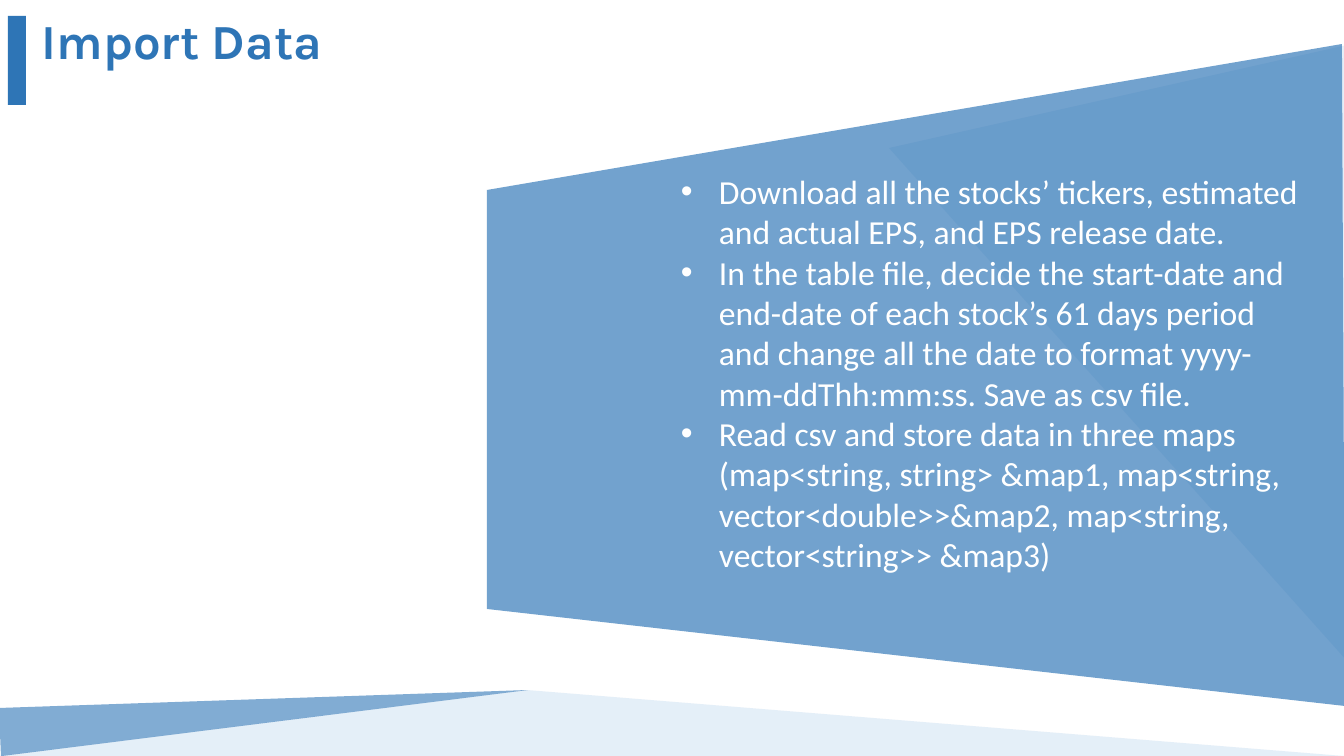
from lxml import etree
from pptx import Presentation
from pptx import util as u
from pptx.dml.color import RGBColor
from pptx.enum import shapes, text
from pptx.oxml import ns

PX = 914400 / 100.8  # EMU in one px
THEME = {
    "blue": "2E75B6", "pale": "BDD7EE", "ice": "DEEBF7", "white": "FFFFFF",
    "title_font": "Karla", "title_size": 35,
    "body_font": "Calibri", "body_size": 24,
}


def paint(shape, color, opacity=100):
    shape.shadow.inherit = False
    shape.line.fill.background()
    shape.fill.solid()
    shape.fill.fore_color.rgb = RGBColor.from_string(THEME[color])
    if opacity < 100:
        tint = shape.fill._xPr.find(".//" + ns.qn("a:srgbClr"))
        etree.SubElement(tint, ns.qn("a:alpha"), val=str(opacity * 1000))


def write(lines, box, font, size, color, bold=False, hanging=0):
    frame = slide.shapes.add_textbox(*[round(n * PX) for n in box]).text_frame
    frame.word_wrap = True
    frame.auto_size = text.MSO_AUTO_SIZE.SHAPE_TO_FIT_TEXT
    for i, line in enumerate(lines):
        paragraph = frame.paragraphs[0] if i == 0 else frame.add_paragraph()
        if hanging:
            props = paragraph._p.get_or_add_pPr()
            props.set("marL", str(round(hanging * PX)))
            props.set("indent", str(-round(hanging * PX)))
            etree.SubElement(props, ns.qn("a:buFont"), typeface="Arial")
            etree.SubElement(props, ns.qn("a:buChar"), char="•")
        run = paragraph.add_run()
        run.text = line
        run.font.name = THEME[font]
        run.font.size = u.Pt(THEME[size])
        run.font.bold = bold
        run.font.color.rgb = RGBColor.from_string(THEME[color])


deck = Presentation()
deck.slide_width, deck.slide_height = round(1344 * PX), round(756 * PX)
slide = deck.slides.add_slide(deck.slide_layouts[6])

# Angular background: two bottom wedges, then the two layers of the panel
facets = [
    ("pale", 40, [(527, 690), (1344, 756), (0, 756)]),
    ("blue", 60, [(-1, 708), (528, 690), (2, 756), (1, 756)]),
    ("ice", 80, [(889, 148), (1347, 45), (1348, 662)]),
    ("blue", 67, [(487, 190), (1342, 44), (1345, 706), (487, 609)]),
]
for color, opacity, corners in facets:
    outline = slide.shapes.build_freeform(*corners[0], scale=PX)
    outline.add_line_segments(corners[1:], close=True)
    paint(outline.convert_to_shape(), color, opacity)

# Import steps
steps = [
    "Download all the stocks’ tickers, estimated and actual EPS, and EPS release date.",
    "In the table file, decide the start-date and end-date of each stock’s 61 days period "
    "and change all the date to format yyyy-mm-ddThh:mm:ss. Save as csv file.",
    "Read csv and store data in three maps (map<string, string> &map1, "
    "map<string, vector<double>>&map2, map<string, vector<string>> &map3)",
]
write(steps, (671, 166, 650, 458), "body_font", "body_size", "white", hanging=38)

# Title and its accent bar
write(["Import Data"], (32, 6, 534, 72), "title_font", "title_size", "blue", bold=True)
accent = slide.shapes.add_shape(
    shapes.MSO_SHAPE.RECTANGLE, *[round(n * PX) for n in (8, 16, 18, 89)])
paint(accent, "blue")

deck.save("out.pptx")
